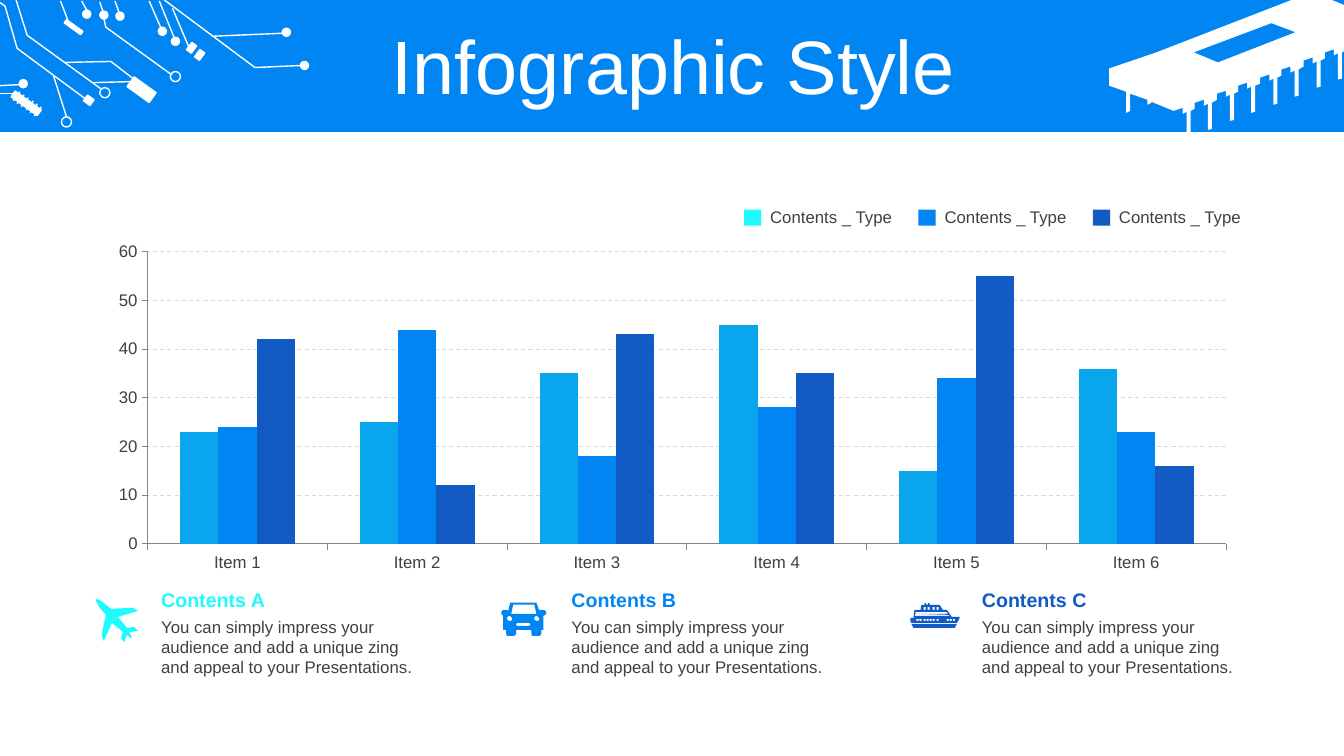
from lxml import etree
from pptx import Presentation
from pptx.chart.data import CategoryChartData
from pptx.dml.color import RGBColor
from pptx.enum.chart import XL_CHART_TYPE, XL_TICK_MARK
from pptx.enum.dml import MSO_LINE
from pptx.enum.shapes import MSO_CONNECTOR, MSO_SHAPE
from pptx.enum.text import MSO_ANCHOR, PP_ALIGN
from pptx.oxml.ns import qn
from pptx.util import Pt

PX = 9144
RECT, OVAL = MSO_SHAPE.RECTANGLE, MSO_SHAPE.OVAL
STRAIGHT = MSO_CONNECTOR.STRAIGHT
MIDDLE, CENTER = MSO_ANCHOR.MIDDLE, PP_ALIGN.CENTER
COLUMNS, TICK_OUT, DASH = XL_CHART_TYPE.COLUMN_CLUSTERED, XL_TICK_MARK.OUTSIDE, MSO_LINE.DASH

FONT = "Arial"
WHITE, INK, GRID, AXIS = "FFFFFF", "404040", "D9D9D9", "868686"
CYAN, SKY, BLUE, NAVY = "1FFBFD", "0AA6ED", "0085F2", "125AC4"
TILT = 35.7

CATEGORIES = [f"Item {number}" for number in range(1, 7)]
SERIES = [
    ("Series 1", (23, 25, 35, 45, 15, 36), SKY),
    ("Series 2", (24, 44, 18, 28, 34, 23), BLUE),
    ("Series 3", (42, 12, 43, 35, 55, 16), NAVY),
]
PROMISE = "You can simply impress your audience and add a unique zing and appeal to your Presentations."

DOTS = [(298, 61), (280, 28), (82, 10), (99, 11), (115, 12), (19, 79), (170, 37), (157, 27)]
RINGS = [(169, 71), (99, 87), (61, 116)]
PADS = [(127, 83, 27, 12), (63, 25, 20, 4), (84, 96, 8, 7), (187, 43, 6, 9), (195, 50, 6, 9), (10, 99, 32, 7)]
WIRES = [
    (60, 1, 68, 22), (81, 1, 86, 10), (99, 2, 102, 11), (114, 1, 118, 12), (148, 1, 161, 31),
    (158, 1, 173, 38), (210, 36, 280, 33), (171, 8, 187, 46), (-1, 85, 19, 84), (-1, 93, 14, 93),
    (53, 75, 66, 116), (92, 82, 130, 81),
]
RIDGES = [tuple(round(v) for v in (13 + 4.2 * i, 100 + 3 * i, 20 + 4.2 * i, 91 + 3 * i)) for i in range(6)]
TRACES = [
    [(163, 0), (253, 67), (299, 65)],
    [(16, 0), (27, 35), (100, 88)],
    [(-1, 2), (5, 6), (17, 48), (86, 99)],
    [(64, 62), (110, 61), (132, 78)],
    [(103, 18), (105, 27), (170, 74)],
]

PIN = [(0, 0), (0, 26), (-4, 27), (-4, 1), (-8, 3), (-8, -3), (-17, 0), (-17, 6)]
PINS = [(round(231 - i * 150 / 7) + x, round(52 + i * 58 / 7) + y) for i in range(8) for x, y in PIN]
CHIP = [
    [(181, 0), (221, 0), (233, 5), (233, 51)] + PINS[:-1]
    + [(42, 101), (42, 102), (38, 104), (38, 99), (21, 93), (21, 110), (17, 112), (17, 91),
       (0, 85), (0, 68), (47, 52)],
    [(161, 23), (84, 52), (108, 62), (185, 32)],
]
PLANE = [[
    (42, 32), (33, 33), (36, 38), (35, 39), (31, 36), (28, 43), (25, 39), (27, 33), (16, 24), (8, 42),
    (6, 37), (7, 30), (10, 16), (4, 9), (0, 2), (0, 0), (5, 2), (15, 10), (37, 9), (42, 12),
    (22, 18), (31, 29), (38, 28),
]]
HEADLIGHT = [(2, 13), (0, 14), (0, 17), (2, 18), (4, 18), (5, 16), (4, 14)]
CAR = [
    [(9, 0), (35, 0), (38, 8), (39, 7), (42, 7), (44, 8), (45, 10), (44, 12), (42, 13), (42, 27),
     (40, 27), (40, 31), (38, 33), (31, 33), (30, 31), (30, 27), (15, 27), (15, 31), (13, 33), (6, 33),
     (5, 31), (5, 27), (2, 27), (2, 13), (1, 12), (0, 10), (1, 8), (2, 7), (5, 7), (7, 8)],
    [(12, 2), (10, 11), (35, 11), (33, 2)],
    [(16, 20), (15, 21), (15, 22), (16, 23), (28, 23), (29, 22), (29, 21), (28, 20)],
] + [[(side + x, y) for x, y in HEADLIGHT] for side in (6, 33)]
PORTHOLES = [(x, 16, 18) for x in (6, 9, 13, 16, 19, 22, 26, 36, 39, 42)]
CABINS = [(x, 4, 7) for x in (13, 17, 22, 26)]
SHIP = [
    [(18, 0), (19, 0), (19, 2), (29, 2), (32, 7), (36, 7), (41, 14), (49, 14), (48, 17), (46, 20),
     (1, 20), (0, 18), (0, 15), (3, 15), (4, 7), (10, 7), (11, 2), (14, 2), (14, 0), (15, 0),
     (16, 2), (17, 2)],
    [(1, 21), (46, 21), (44, 25), (3, 25)],
    [(5, 11), (4, 13), (39, 13), (38, 12)],
    [(5, 9), (5, 11), (37, 11), (36, 9)],
] + [[(x, y), (x, end), (x + 2, end), (x + 2, y)] for x, y, end in PORTHOLES + CABINS]
CONTENTS = [
    ("Contents A", CYAN, PLANE, 5, 16),
    ("Contents B", BLUE, CAR, 0, 20),
    ("Contents C", NAVY, SHIP, -1, 20),
]


def rgb(code):
    """Turn a hex string into a colour."""
    return RGBColor.from_string(code)


def paint(shape, fill=None, line=None):
    """Give a shape a flat fill and a thin line, or none of either."""
    shape.shadow.inherit = False
    if fill:
        shape.fill.solid()
        shape.fill.fore_color.rgb = rgb(fill)
    else:
        shape.fill.background()
    if line:
        shape.line.color.rgb = rgb(line)
        shape.line.width = Pt(1)
    else:
        shape.line.fill.background()


def preset(slide, kind, left, top, width, height, fill=None, line=None):
    """Place a preset shape."""
    shape = slide.shapes.add_shape(kind, left * PX, top * PX, width * PX, height * PX)
    paint(shape, fill, line)
    return shape


def outline(slide, left, top, contours, fill=None, line=None):
    """Draw contours as one freeform, closed when it is filled."""
    placed = [[(left + x, top + y) for x, y in contour] for contour in contours]
    builder = slide.shapes.build_freeform(*placed[0][0], scale=PX)
    for contour in placed:
        if contour is not placed[0]:
            builder.move_to(*contour[0])
        builder.add_line_segments(contour[1:], close=bool(fill))
    paint(builder.convert_to_shape(), fill, line)


def style_font(font, size, color, bold=False):
    """Set the typeface, size, colour and weight of a font."""
    font.name, font.size, font.bold = FONT, Pt(size), bold
    font.color.rgb = rgb(color)


def label(slide, left, top, width, height, text, size, color, bold=False, anchor=MIDDLE):
    """Place a wrapped text box with one paragraph."""
    frame = slide.shapes.add_textbox(left * PX, top * PX, width * PX, height * PX).text_frame
    frame.word_wrap = True
    frame.vertical_anchor = anchor
    frame.text = text
    style_font(frame.paragraphs[0].font, size, color, bold)


def circuit(slide, left, top):
    """Draw the circuit traces with their pads, dots and rings."""
    for x, y, width, height in PADS:
        preset(slide, RECT, left + x, top + y, width, height, WHITE, WHITE).rotation = TILT
    for x, y in DOTS:
        preset(slide, OVAL, left + x, top + y, 8, 8, WHITE, WHITE)
    for x, y in RINGS:
        preset(slide, OVAL, left + x, top + y, 10, 10, line=WHITE)
    for x1, y1, x2, y2 in WIRES + RIDGES:
        wire = slide.shapes.add_connector(
            STRAIGHT, (left + x1) * PX, (top + y1) * PX, (left + x2) * PX, (top + y2) * PX)
        wire.line.color.rgb = rgb(WHITE)
        wire.line.width = Pt(1)
        etree.SubElement(wire.element.spPr, qn("a:effectLst"))
    for trace in TRACES:
        outline(slide, left, top, [trace], line=WHITE)


def banner(slide, left, top, width, height):
    """Build the header band with its decoration and the title."""
    preset(slide, RECT, left, top, width, height, BLUE)
    outline(slide, left + width - 233, top, CHIP, WHITE)
    circuit(slide, left, top)
    title = slide.shapes.title
    title.left, title.top = (left + 35) * PX, (top + 30) * PX
    title.width, title.height = (width - 67) * PX, 79 * PX
    title.text_frame.text = "Infographic Style"
    title.text_frame.vertical_anchor = MIDDLE
    heading = title.text_frame.paragraphs[0]
    heading.alignment, heading.line_spacing, heading.space_before = CENTER, 0.9, Pt(10)
    style_font(heading.font, 54, WHITE)
    slide.shapes.element.append(title.element)


def column_chart(slide, left, top, width, height):
    """Place the clustered column chart."""
    data = CategoryChartData()
    data.categories = CATEGORIES
    for name, values, _ in SERIES:
        data.add_series(name, values)
    chart = slide.shapes.add_chart(COLUMNS, left * PX, top * PX, width * PX, height * PX, data).chart
    chart.has_legend = chart.has_title = False
    style_font(chart.font, 18, "000000")
    plot = chart.plots[0]
    plot.gap_width, plot.overlap, plot.vary_by_categories = 170, 0, False
    for series, (_, _, color) in zip(plot.series, SERIES):
        series.format.fill.solid()
        series.format.fill.fore_color.rgb = rgb(color)
    for axis in (chart.category_axis, chart.value_axis):
        axis.major_tick_mark = TICK_OUT
        axis.format.line.color.rgb = rgb(AXIS)
        style_font(axis.tick_labels.font, 12, INK)
    scale = chart.value_axis
    scale.minimum_scale, scale.maximum_scale, scale.major_unit = 0, 60, 10
    grid = scale.major_gridlines.format.line
    grid.color.rgb, grid.width, grid.dash_style = rgb(GRID), Pt(0.75), DASH


def legend(slide, left, top):
    """Place the three colour keys in a row."""
    for index, color in enumerate((CYAN, BLUE, NAVY)):
        key = left + 173 * index
        preset(slide, RECT, key, top + 8, 17, 16, color)
        label(slide, key + 16, top, 143, 30, "Contents _ Type", 12, INK)


def content_block(slide, left, top, content):
    """Place an icon with its heading and description."""
    heading, color, icon, icon_x, icon_y = content
    outline(slide, left + icon_x, top + icon_y, icon, color)
    label(slide, left + 60, top, 276, 34, heading, 14, color, bold=True)
    label(slide, left + 60, top + 29, 276, 71, PROMISE, 12, INK, anchor=MSO_ANCHOR.TOP)


def main():
    """Build the slide and save it."""
    deck = Presentation()
    deck.slide_width, deck.slide_height = 1333 * PX, 750 * PX
    slide = deck.slides.add_slide(deck.slide_layouts[5])
    banner(slide, 0, 0, 1333, 131)
    column_chart(slide, 95, 234, 1144, 340)
    legend(slide, 738, 200)
    for index, content in enumerate(CONTENTS):
        content_block(slide, 90 + 407 * index, 578, content)
    deck.save("out.pptx")


if __name__ == "__main__":
    main()
